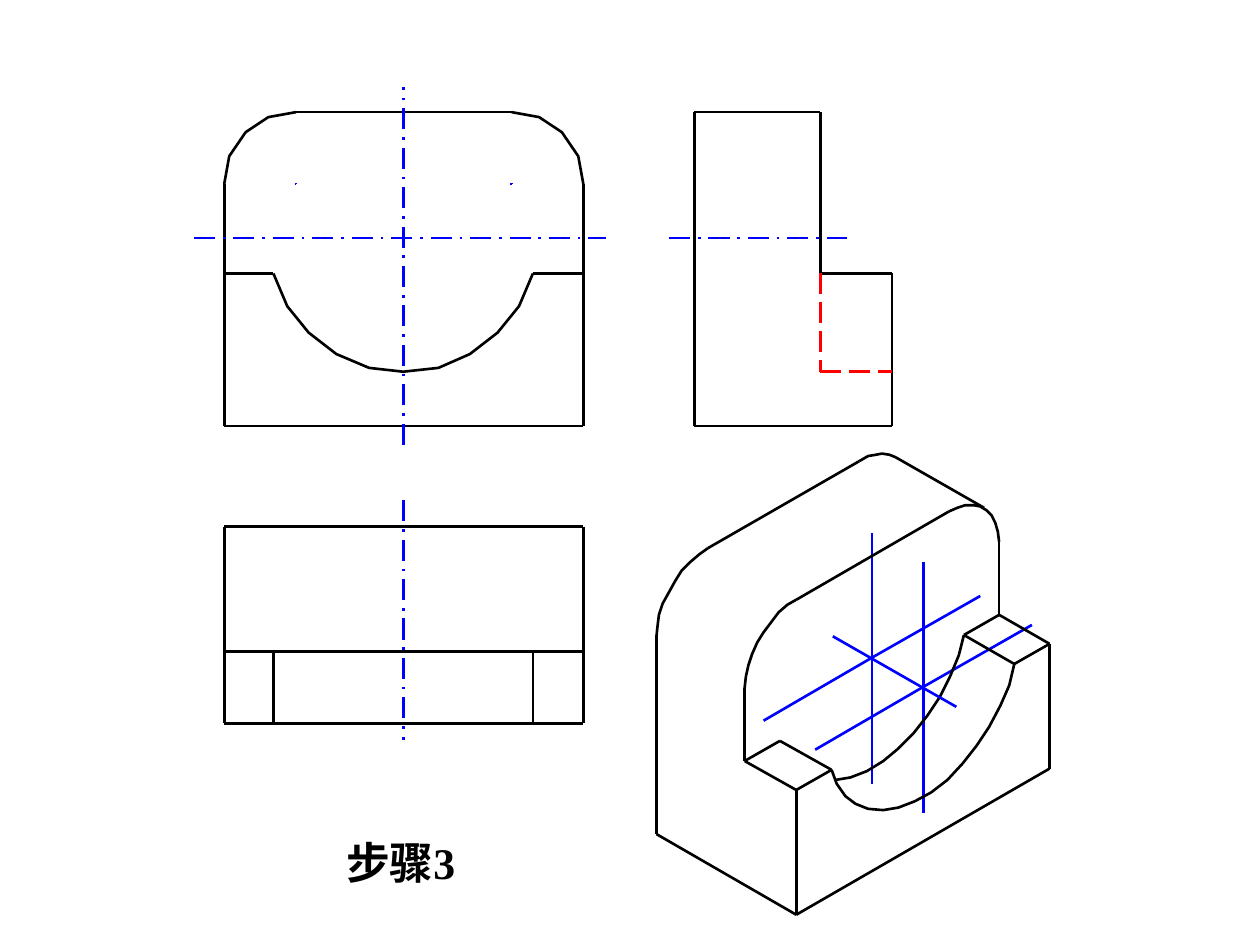
from lxml import etree
from pptx import Presentation
from pptx import util as u
from pptx.dml.color import RGBColor
from pptx.enum import dml, shapes, text
from pptx.oxml.ns import qn

COLORS = {"outline": "000000", "center": "0000FF", "hidden": "FF0000"}
DASH_DOT = dml.MSO_LINE.LONG_DASH_DOT
LONG_DASH = dml.MSO_LINE.LONG_DASH


class Drawing:
    """Holds the line style and the slide being drawn on."""

    def __init__(self, page):
        self.page = page
        self.target = page.shapes
        self.width = u.Pt(1.5)
        self.font = "Times New Roman"

    def start_group(self):
        self.target = self.page.shapes.add_group_shape().shapes

    def end_group(self):
        self.target = self.page.shapes

    def title(self, words, left, top, width, height, size):
        box = self.page.shapes.title
        box.left, box.top = u.Inches(left), u.Inches(top)
        box.width, box.height = u.Inches(width), u.Inches(height)
        frame = box.text_frame
        frame.text = words
        frame.word_wrap = True
        frame.auto_size = text.MSO_AUTO_SIZE.NONE
        frame.vertical_anchor = text.MSO_ANCHOR.MIDDLE
        para = frame.paragraphs[0]
        para.alignment = text.PP_ALIGN.CENTER
        span = para.runs[0]
        span.font.name = self.font
        span.font.size = u.Pt(size)
        span.font.bold = True
        span.font.color.rgb = RGBColor.from_string(COLORS["outline"])

    def stroke(self, shape, color, dash=None):
        shape.line.color.rgb = RGBColor.from_string(COLORS[color])
        shape.line.width = self.width
        if dash is not None:
            shape.line.dash_style = dash

    def line(self, x1, y1, x2, y2, color="outline", dash=None):
        connector = self.target.add_connector(
            shapes.MSO_CONNECTOR.STRAIGHT,
            u.Inches(x1), u.Inches(y1), u.Inches(x2), u.Inches(y2))
        self.stroke(connector, color, dash)
        etree.SubElement(connector._element.spPr, qn("a:effectLst"))

    def curve(self, points):
        corners = [(u.Inches(x), u.Inches(y)) for x, y in points]
        builder = self.target.build_freeform(*corners[0])
        builder.add_line_segments(corners[1:], close=False)
        shape = builder.convert_to_shape()
        shape.fill.background()
        shape.shadow.inherit = False
        self.stroke(shape, "outline")


# Shared dimensions of the part
LEFT, RIGHT, MIDDLE = 1.78, 4.63, 3.2
ARC_LEFT, ARC_RIGHT = 2.35, 4.06
NOTCH_LEFT, NOTCH_RIGHT = 2.17, 4.23
TOP, ARC_Y, AXIS, STEP, NOTCH_BOTTOM, BASE = 0.89, 1.46, 1.89, 2.17, 2.95, 3.38
PLAN_BACK, PLAN_STEP, PLAN_FRONT = 4.18, 5.17, 5.74
SIDE_BACK, SIDE_STEP, SIDE_FRONT = 5.51, 6.51, 7.08


def draw_front_view(drawing):
    for x in (ARC_LEFT, ARC_RIGHT):
        drawing.line(x - 0.01, ARC_Y, x, ARC_Y, "center")
        drawing.line(x, ARC_Y, x, ARC_Y - 0.01, "center")
    for x in (LEFT, RIGHT):
        drawing.line(x, ARC_Y, x, STEP)
        drawing.line(x, STEP, x, BASE)
    drawing.line(ARC_LEFT, TOP, ARC_RIGHT, TOP)
    drawing.line(LEFT, BASE, RIGHT, BASE)
    drawing.line(LEFT, STEP, NOTCH_LEFT, STEP)
    drawing.line(NOTCH_RIGHT, STEP, RIGHT, STEP)
    corner = [(ARC_LEFT, TOP), (2.13, 0.93), (1.95, 1.05), (1.82, 1.24), (LEFT, ARC_Y)]
    drawing.curve(corner)
    drawing.curve([(LEFT + RIGHT - x, y) for x, y in corner])
    drawing.curve([(NOTCH_LEFT, STEP), (2.28, 2.43), (2.45, 2.64), (2.67, 2.81),
                   (2.93, 2.92), (MIDDLE, NOTCH_BOTTOM), (3.48, 2.92), (3.73, 2.81),
                   (3.95, 2.64), (4.12, 2.43), (NOTCH_RIGHT, STEP)])


def draw_top_view(drawing):
    for y in (PLAN_BACK, PLAN_STEP):
        for x1, x2 in ((LEFT, ARC_LEFT), (ARC_LEFT, ARC_RIGHT), (ARC_RIGHT, RIGHT)):
            drawing.line(x1, y, x2, y)
    for x1, x2 in ((LEFT, NOTCH_LEFT), (NOTCH_LEFT, NOTCH_RIGHT), (NOTCH_RIGHT, RIGHT)):
        drawing.line(x1, PLAN_FRONT, x2, PLAN_FRONT)
    for x in (LEFT, RIGHT):
        drawing.line(x, PLAN_BACK, x, PLAN_STEP)
    for x in (LEFT, NOTCH_LEFT, NOTCH_RIGHT, RIGHT):
        drawing.line(x, PLAN_STEP, x, PLAN_FRONT)


def draw_side_view(drawing):
    for x, end in ((SIDE_BACK, BASE), (SIDE_STEP, STEP)):
        drawing.line(x, TOP, x, ARC_Y)
        drawing.line(x, ARC_Y, x, end)
    drawing.line(SIDE_BACK, TOP, SIDE_STEP, TOP)
    drawing.line(SIDE_STEP, STEP, SIDE_FRONT, STEP)
    drawing.line(SIDE_FRONT, STEP, SIDE_FRONT, BASE)
    drawing.line(SIDE_BACK, BASE, SIDE_FRONT, BASE)
    drawing.line(SIDE_STEP, STEP, SIDE_STEP, NOTCH_BOTTOM, "hidden", LONG_DASH)
    drawing.line(SIDE_STEP, NOTCH_BOTTOM, SIDE_FRONT, NOTCH_BOTTOM, "hidden", LONG_DASH)


def draw_isometric_view(drawing):
    drawing.start_group()
    # Axes through the two notch centres, each in four arms
    for x, y in ((7.33, 5.45), (6.92, 5.22)):
        for dx, dy in ((0.86, -0.49), (-0.86, 0.5), (0, 1), (0, -0.99)):
            drawing.line(x, y, x + dx, y + dy, "center")
    # Straight edges
    edges = [
        (5.21, 6.62, 6.32, 7.26), (8.33, 6.1, 6.32, 7.26), (6.32, 7.26, 6.32, 6.27),
        (7.93, 4.3, 7.93, 4.88), (7.65, 5.04, 7.93, 4.88), (7.93, 4.88, 8.33, 5.11),
        (5.91, 6.04, 5.91, 5.46), (5.21, 5.05, 5.21, 6.62), (6.32, 4.76, 7.53, 4.06),
        (6.82, 3.66, 5.62, 4.35), (5.91, 6.04, 6.32, 6.27), (5.91, 6.04, 6.19, 5.88),
        (8.05, 5.27, 8.33, 5.11), (8.33, 5.11, 8.33, 6.1), (6.32, 6.27, 6.6, 6.11),
        (6.6, 6.11, 6.19, 5.88), (7.65, 5.04, 8.05, 5.27), (7.81, 4.03, 7.11, 3.63),
    ]
    for edge in edges:
        drawing.line(*edge)
    # Rounded corners, front and back
    drawing.curve([(6.32, 4.76), (6.25, 4.8), (6.18, 4.86), (6.12, 4.94), (6.06, 5.02),
                   (6.01, 5.1), (5.97, 5.19), (5.94, 5.28), (5.92, 5.37), (5.91, 5.46)])
    drawing.curve([(5.62, 4.35), (5.55, 4.4), (5.48, 4.46), (5.41, 4.53), (5.36, 4.61),
                   (5.31, 4.7), (5.26, 4.79), (5.23, 4.88), (5.22, 4.96), (5.21, 5.05)])
    drawing.curve([(7.11, 3.63), (7.06, 3.61), (7, 3.6), (6.95, 3.61), (6.89, 3.62),
                   (6.82, 3.66)])
    drawing.curve([(7.93, 4.3), (7.92, 4.22), (7.9, 4.15), (7.87, 4.09), (7.83, 4.05),
                   (7.78, 4.02), (7.73, 4.01), (7.66, 4.01), (7.6, 4.03), (7.53, 4.06)])
    # Notch, front and back
    drawing.curve([(6.6, 6.11), (6.64, 6.22), (6.71, 6.32), (6.79, 6.38), (6.89, 6.42),
                   (7.01, 6.43), (7.13, 6.41), (7.26, 6.36), (7.39, 6.29), (7.52, 6.19),
                   (7.64, 6.06), (7.75, 5.92), (7.85, 5.77), (7.94, 5.6), (8.01, 5.44),
                   (8.05, 5.27)])
    drawing.curve([(6.63, 6.19), (6.75, 6.17), (6.88, 6.12), (7.01, 6.04), (7.13, 5.94),
                   (7.25, 5.82), (7.36, 5.68), (7.46, 5.53), (7.54, 5.37), (7.61, 5.2),
                   (7.65, 5.04)])
    drawing.line(6.61, 5.05, 7.59, 5.61, "center")
    drawing.end_group()


def draw_center_lines(drawing):
    for ends in ((MIDDLE, 3.53, MIDDLE, 0.69), (1.54, AXIS, 4.81, AXIS),
                 (MIDDLE, 3.97, MIDDLE, 5.87), (5.31, AXIS, 6.72, AXIS)):
        drawing.line(*ends, "center", DASH_DOT)


def main():
    deck = Presentation()
    deck.slide_width, deck.slide_height = u.Inches(10), u.Inches(7.5)
    drawing = Drawing(deck.slides.add_slide(deck.slide_layouts[5]))
    drawing.title("步骤3", 1.97, 6.59, 2.42, 0.5, 25)
    draw_front_view(drawing)
    draw_top_view(drawing)
    draw_side_view(drawing)
    draw_isometric_view(drawing)
    draw_center_lines(drawing)
    deck.save("out.pptx")


if __name__ == "__main__":
    main()
